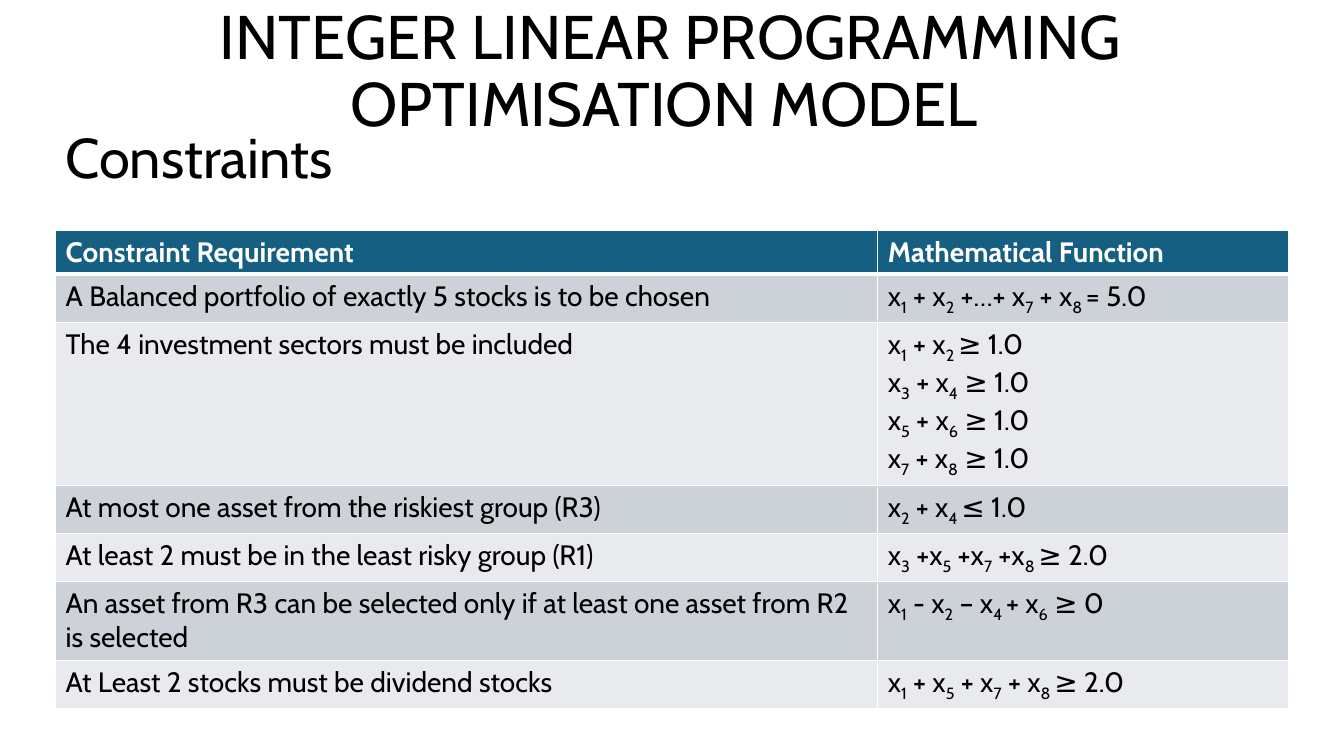
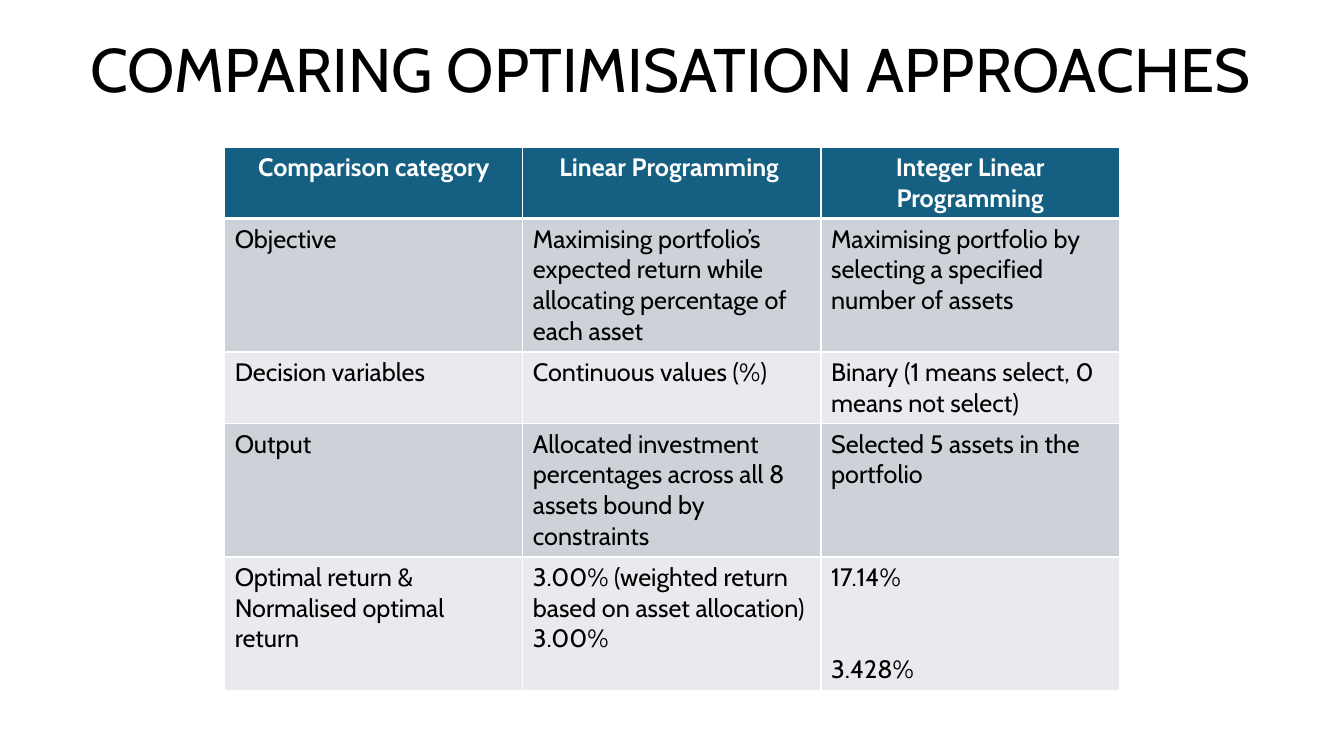
from dataclasses import dataclass
from typing import Any

from lxml.etree import SubElement
from pptx import Presentation
from pptx.dml.color import RGBColor as RGB
from pptx.enum.text import MSO_ANCHOR as Anchor, MSO_AUTO_SIZE as AutoSize, PP_ALIGN as Align
from pptx.oxml.ns import qn
from pptx.util import Emu, Pt


@dataclass(frozen=True)
class Theme:
    font: str = "Cabin"
    ink: str = "000000"
    paper: str = "FFFFFF"
    header: str = "156082"
    bands: tuple[str, str] = ("CCD2D8", "E8EAED")
    title: int = 44
    subtitle: int = 40
    rule: int = 1
    header_rule: int = 3
    subscript: int = -25000


@dataclass(frozen=True)
class Box:
    x: int
    y: int
    w: int
    h: int


@dataclass(frozen=True)
class Para:
    """One paragraph; the parts between bars are subscripts."""
    text: str
    before: int = 0


@dataclass(frozen=True)
class Grid:
    x: int
    y: int
    cols: tuple[int, ...]
    rows: tuple[int, ...]
    size: int
    header_align: Align
    cells: list[tuple[Any, ...]]


THEME = Theme()
SLIDE_W, SLIDE_H = 1280, 720
TITLE_BOX = Box(16, 0, 1246, 139)
SUBTITLE_BOX = Box(53, 83, 625, 139)
TITLE_ONLY = 5

CONSTRAINTS = Grid(
    53, 219, (783, 391), (41, 45, 155, 45, 45, 75, 45), 20, Align.LEFT,
    [
        ("Constraint Requirement", "Mathematical Function"),
        ("A Balanced portfolio of exactly 5 stocks is to be chosen",
         "x|1| + x|2| +…+ x|7| + x|8 |= 5.0"),
        ("The 4 investment sectors must be included",
         ("x|1| + x|2 |≥ 1.0", "x|3| + x|4| ≥ 1.0", "x|5| + x|6| ≥ 1.0", "x|7| + x|8| ≥ 1.0")),
        ("At most one asset from the riskiest group (R3)", "x|2| + x|4 |≤ 1.0"),
        ("At least 2 must be in the least risky group (R1)",
         "x|3| +x|5| +x|7| +x|8 |≥ 2.0"),
        ("An asset from R3 can be selected only if at least one asset from R2 is selected",
         "x|1| - x|2| – x|4 |+ x|6| ≥ 0"),
        ("At Least 2 stocks must be dividend stocks", "x|1| + x|5| + x|7| + x|8 |≥ 2.0"),
    ],
)

COMPARISON = Grid(
    214, 140, (284,) * 3, (66, 127, 68, 127, 126), 18, Align.CENTER,
    [
        ("Comparison category", "Linear Programming ", "Integer Linear Programming"),
        ("Objective",
         "Maximising portfolio’s expected return while allocating percentage of each asset",
         "Maximising portfolio by selecting a specified number of assets"),
        ("Decision variables", "Continuous values (%)",
         "Binary (1 means select, 0 means not select)"),
        ("Output",
         "Allocated investment percentages across all 8 assets bound by constraints",
         "Selected 5 assets in the portfolio"),
        (("Optimal return &", "Normalised optimal return"),
         ("3.00% (weighted return based on asset allocation)", "3.00%"),
         ("17.14%", Para("3.428%", before=44))),
    ],
)


def px(n: int) -> Emu:
    return Emu(n * 9525)


def set_all(obj: Any, values: dict[str, Any]) -> None:
    for name, value in values.items():
        setattr(obj, name, value)


def style(font: Any, size: int, color: str, bold: bool = False) -> None:
    set_all(font, {"name": THEME.font, "size": Pt(size), "bold": bold})
    font.color.rgb = RGB.from_string(color)


def write_heading(sp: Any, box: Box, text: str, size: int, align: Align) -> None:
    set_all(sp, {"left": px(box.x), "top": px(box.y), "width": px(box.w), "height": px(box.h)})
    tf = sp.text_frame
    set_all(tf, {"word_wrap": True, "auto_size": AutoSize.NONE, "vertical_anchor": Anchor.MIDDLE})
    p = tf.paragraphs[0]
    set_all(p, {"alignment": align, "line_spacing": 0.9})
    r = p.add_run()
    r.text = text
    style(r.font, size, THEME.ink)


def add_titled_slide(prs: Any, title: str) -> Any:
    s = prs.slides.add_slide(prs.slide_layouts[TITLE_ONLY])
    write_heading(s.shapes.title, TITLE_BOX, title, THEME.title, Align.CENTER)
    return s


def set_borders(cell: Any, top: int, bottom: int) -> None:
    widths = {"lnL": THEME.rule, "lnR": THEME.rule, "lnT": top, "lnB": bottom}
    for tag, width in widths.items():
        ln = SubElement(cell._tc.get_or_add_tcPr(), qn(f"a:{tag}"), w=str(Pt(width)))
        SubElement(SubElement(ln, qn("a:solidFill")), qn("a:srgbClr"), val=THEME.paper)


def write_cell(cell: Any, content: Any, size: int, color: str, bold: bool, align: Align) -> None:
    tf = cell.text_frame
    lines = content if isinstance(content, tuple) else (content,)
    for i, line in enumerate(lines):
        para = line if isinstance(line, Para) else Para(line)
        p = tf.add_paragraph() if i else tf.paragraphs[0]
        p.alignment = align
        if para.before:
            p.space_before = Pt(para.before)
        for j, part in enumerate(para.text.split("|")):
            r = p.add_run()
            r.text = part
            style(r.font, size, color, bold)
            if j % 2:
                r._r.get_or_add_rPr().set("baseline", str(THEME.subscript))


def add_grid(s: Any, grid: Grid) -> None:
    frame = s.shapes.add_table(len(grid.rows), len(grid.cols), px(grid.x), px(grid.y),
                               px(sum(grid.cols)), px(sum(grid.rows)))
    table = frame.table
    table.horz_banding = False
    for col, width in zip(table.columns, grid.cols):
        col.width = px(width)
    for i, (row, height, contents) in enumerate(zip(table.rows, grid.rows, grid.cells)):
        row.height = px(height)
        head = i == 0
        fill = THEME.header if head else THEME.bands[(i - 1) % 2]
        color = THEME.paper if head else THEME.ink
        align = grid.header_align if head else Align.LEFT
        top = THEME.header_rule if i == 1 else THEME.rule
        bottom = THEME.header_rule if head else THEME.rule
        for cell, content in zip(row.cells, contents):
            set_borders(cell, top, bottom)
            cell.fill.solid()
            cell.fill.fore_color.rgb = RGB.from_string(fill)
            write_cell(cell, content, grid.size, color, head, align)


def main() -> None:
    prs = Presentation()
    set_all(prs, {"slide_width": px(SLIDE_W), "slide_height": px(SLIDE_H)})

    # Constraints of the integer model
    s = add_titled_slide(prs, "INTEGER LINEAR PROGRAMMING OPTIMISATION MODEL ")
    sp = s.shapes.add_textbox(0, 0, 0, 0)
    write_heading(sp, SUBTITLE_BOX, "Constraints", THEME.subtitle, Align.LEFT)
    add_grid(s, CONSTRAINTS)

    # Comparison of the two approaches
    s = add_titled_slide(prs, "COMPARING OPTIMISATION APPROACHES")
    add_grid(s, COMPARISON)

    prs.save("out.pptx")


if __name__ == "__main__":
    main()
